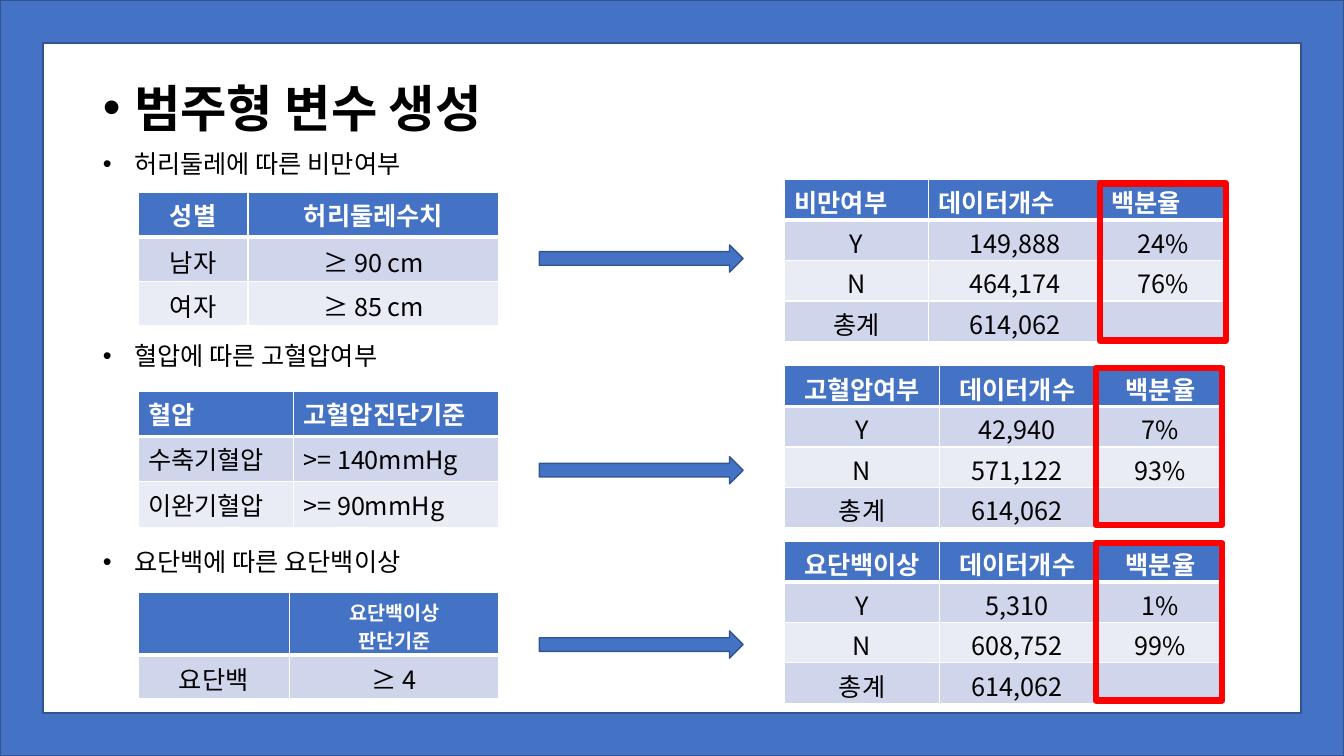
import pptx
import pptx.util
import pptx.dml.color
import pptx.enum.shapes
import pptx.enum.text
import pptx.oxml
import pptx.oxml.ns
from pptx.util import Inches

COLOURS = {
    "blue": "4472C4", "outline": "325491", "band_dark": "CFD5EA", "band_light": "E9EBF5",
    "white": "FFFFFF", "black": "000000", "red": "FF0000",
}
FONT = "Noto Sans CJK KR"
LEFT = pptx.enum.text.PP_ALIGN.LEFT
CENTER = pptx.enum.text.PP_ALIGN.CENTER
TOP = pptx.enum.text.MSO_ANCHOR.TOP
MIDDLE = pptx.enum.text.MSO_ANCHOR.MIDDLE
SHAPES = pptx.enum.shapes.MSO_SHAPE


def colour(name):
    return pptx.dml.color.RGBColor.from_string(COLOURS[name])


def add_element(parent, markup):
    namespace = pptx.oxml.ns.nsdecls("a")
    tag, _, rest = markup.partition(" ")
    parent.append(pptx.oxml.parse_xml(f"{tag} {namespace} {rest}"))


def set_values(target, values):
    for name, value in values.items():
        setattr(target, name, value)


class SlideBuilder:
    """Draws styled elements on the current slide."""

    def __init__(self, slide):
        self.slide = slide

    def add_text(self, para, text, size, ink="black", bold=False):
        for number, line in enumerate(text.split("\n")):
            if number:
                para.add_line_break()
            span = para.add_run()
            span.text = line
            set_values(span.font, {"name": FONT, "size": pptx.util.Pt(size), "bold": bold})
            span.font.color.rgb = colour(ink)
            add_element(span.font._element, f'<a:ea typeface="{FONT}"/>')

    def bullet(self, holder, text, area, size, bold=False):
        left, top, width, height = map(Inches, area)
        set_values(holder, {"left": left, "top": top, "width": width, "height": height})
        set_values(holder.text_frame, {
            "word_wrap": True, "vertical_anchor": MIDDLE,
            "auto_size": pptx.enum.text.MSO_AUTO_SIZE.NONE,
        })
        para = holder.text_frame.paragraphs[0]
        set_values(para, {
            "alignment": LEFT, "space_before": pptx.util.Pt(0), "line_spacing": 1.0,
        })
        self.add_text(para, text, size, bold=bold)
        settings = para._p.get_or_add_pPr()
        indent = Inches(0.31)
        settings.set("marL", str(indent))
        settings.set("indent", str(-indent))
        add_element(settings, '<a:buFont typeface="Arial"/>')
        add_element(settings, '<a:buChar char="•"/>')

    def shape(self, kind, area, fill=None, line="outline", weight=1):
        shape = self.slide.shapes.add_shape(kind, *map(Inches, area))
        shape.shadow.inherit = False
        if fill:
            shape.fill.solid()
            shape.fill.fore_color.rgb = colour(fill)
        else:
            shape.fill.background()
        shape.line.color.rgb = colour(line)
        shape.line.width = pptx.util.Pt(weight)
        return shape

    def table(self, left, top, widths, heights, rows, header_align=CENTER,
              body_align=CENTER, header_anchor=TOP, body_anchor=TOP, header_size=18):
        area = (left, top, sum(widths), sum(heights))
        table = self.slide.shapes.add_table(len(rows), len(widths), *map(Inches, area)).table
        for column, width in zip(table.columns, widths):
            column.width = Inches(width)
        for row_number, (row, height, texts) in enumerate(zip(table.rows, heights, rows)):
            row.height = Inches(height)
            header = row_number == 0
            band = "blue" if header else "band_dark" if row_number % 2 else "band_light"
            for cell, text in zip(row.cells, texts):
                set_values(cell, {
                    "margin_top": Inches(0.04), "margin_bottom": 0,
                    "vertical_anchor": header_anchor if header else body_anchor,
                })
                self.borders(cell, bottom=3 if header else 1)
                cell.fill.solid()
                cell.fill.fore_color.rgb = colour(band)
                para = cell.text_frame.paragraphs[0]
                para.alignment = header_align if header else body_align
                if text:
                    self.add_text(para, text, header_size if header else 18,
                                  "white" if header else "black", header)

    def borders(self, cell, bottom):
        for side, weight in {"L": 1, "R": 1, "T": 1, "B": bottom}.items():
            add_element(
                cell._tc.get_or_add_tcPr(),
                f'<a:ln{side} w="{pptx.util.Pt(weight)}"><a:solidFill>'
                f'<a:srgbClr val="{COLOURS["white"]}"/></a:solidFill></a:ln{side}>')


def main():
    deck = pptx.Presentation()
    set_values(deck, {"slide_width": Inches(13.33), "slide_height": Inches(7.5)})
    slide = deck.slides.add_slide(deck.slide_layouts.get_by_name("Comparison"))
    builder = SlideBuilder(slide)

    frame = builder.shape(SHAPES.FRAME, (0, 0, 13.33, 7.5), "blue")
    frame.adjustments[0] = 0.057

    title, *bodies = list(slide.placeholders)[:5]
    builder.bullet(title, "범주형 변수 생성", (0.92, 0.71, 7.51, 0.71), 36, bold=True)
    headings = [
        ("허리둘레에 따른 비만여부", 1.42),
        ("혈압에 따른 고혈압여부", 3.33),
        ("요단백에 따른 요단백이상", 5.37),
    ]
    for body, (heading, top) in zip(bodies, headings):
        builder.bullet(body, heading, (0.92, top, 4.6, 0.4), 18)
    for holder in list(slide.placeholders):
        if not holder.text_frame.text:
            holder._element.getparent().remove(holder._element)

    criteria_left = 1.37
    builder.table(
        criteria_left, 1.91, [1.09, 2.49], [0.44] * 3,
        [("성별", "허리둘레수치"), ("남자", "≥ 90 cm"), ("여자", "≥ 85 cm")],
        body_anchor=MIDDLE)
    builder.table(
        criteria_left, 3.88, [1.54, 2.04], [0.45] * 3,
        [("혈압", "고혈압진단기준"), ("수축기혈압", ">= 140mmHg"), ("이완기혈압", ">= 90mmHg")],
        header_align=LEFT, body_align=LEFT)
    builder.table(
        criteria_left, 5.88, [1.5, 2.08], [0.62, 0.43],
        [("", "요단백이상\n판단기준"), ("요단백", "≥ 4")],
        header_anchor=MIDDLE, body_anchor=MIDDLE, header_size=14)

    for top in (2.43, 4.53, 6.26):
        builder.shape(SHAPES.RIGHT_ARROW, (5.35, top, 2.02, 0.27), "blue")

    even_widths = [1.54, 1.54, 1.3]
    results = [
        ("비만여부", 1.78, [1.43, 1.71, 1.24], LEFT, ("149,888", "24%"), ("464,174", "76%")),
        ("고혈압여부", 3.63, even_widths, CENTER, ("42,940", "7%"), ("571,122", "93%")),
        ("요단백이상", 5.37, even_widths, CENTER, ("5,310", "1%"), ("608,752", "99%")),
    ]
    for label, top, widths, align, yes, no in results:
        rows = [(label, "데이터개수", "백분율"), ("Y", *yes), ("N", *no), ("총계", "614,062", "")]
        builder.table(7.78, top, widths, [0.4] * 4, rows, header_align=align)

    for left, top in ((10.91, 1.82), (10.87, 3.65), (10.87, 5.39)):
        builder.shape(SHAPES.RECTANGLE, (left, top, 1.25, 1.56), line="red", weight=4.5)

    deck.save("out.pptx")


if __name__ == "__main__":
    main()
